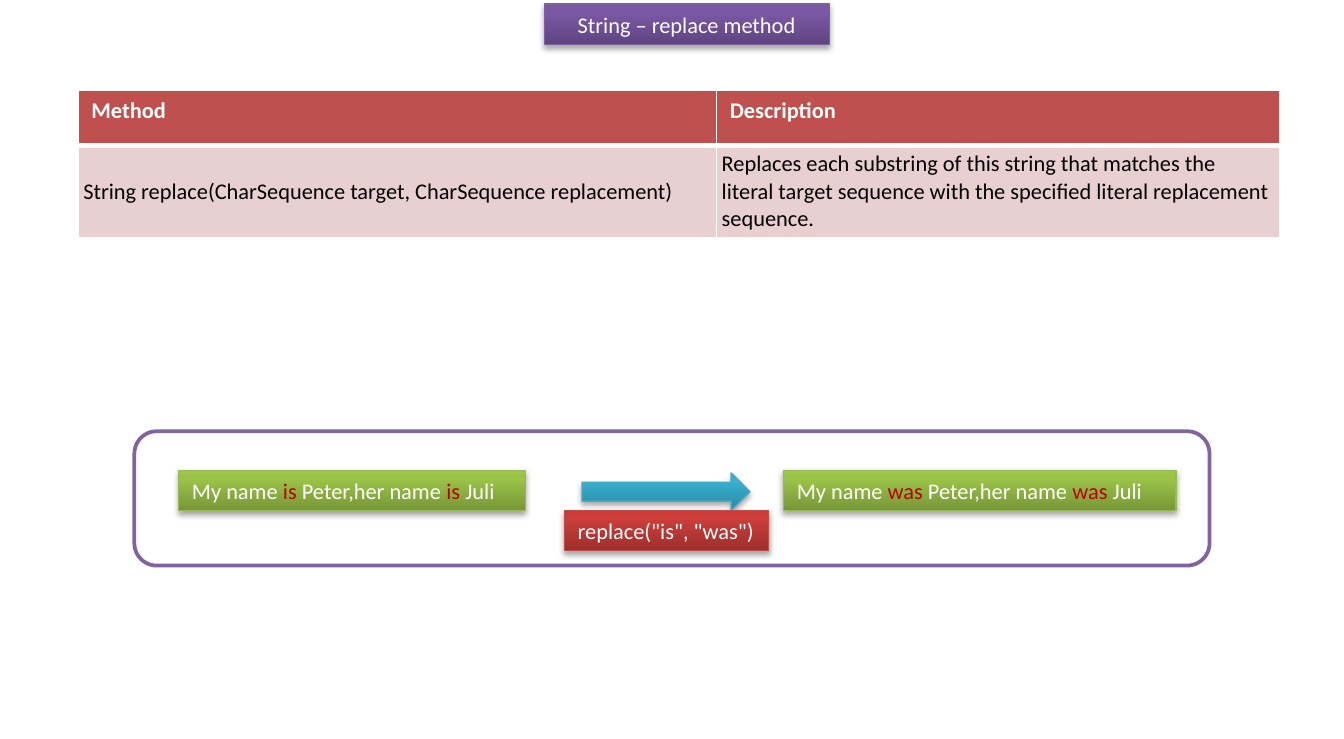
from copy import deepcopy

from lxml.etree import SubElement
from pptx import Presentation
from pptx.dml.color import RGBColor
from pptx.enum.shapes import MSO_SHAPE as SHAPE
from pptx.enum.text import MSO_ANCHOR as ANCHOR, MSO_AUTO_SIZE as AUTO, PP_ALIGN as ALIGN
from pptx.oxml.ns import qn
from pptx.util import Inches, Pt

COLORS = {
    "white": "FFFFFF", "black": "000000", "mark": "C00000",
    "frame": "8064A2", "header": "C0504D", "body": "E8D0D0",
}
# Each theme: line colour, then gradient colours from bottom to top
THEMES = {
    "purple": ("7D60A0", ("5F4480", "7B58A6", "7C57A8")),
    "green": ("98B955", ("779737", "9BC348", "9DC746")),
    "blue": ("46AAC5", ("2A88A2", "37B1D2", "34B4D6")),
    "red": ("BF4C48", ("9C2F2D", "CB3E3A", "CE3B37")),
}
STOPS = (0, 0.8, 1)
ROWS = [
    ("Method", "Description"),
    ("String replace(CharSequence target, CharSequence replacement)",
     "Replaces each substring of this string that matches the literal target "
     "sequence with the specified literal replacement sequence."),
]


def rgb(name):
    return RGBColor.from_string(COLORS[name])


def add_runs(p, runs, bold=False):
    for text, color in runs:
        r = p.add_run()
        r.text = text
        r.font.name, r.font.size, r.font.bold = "Calibri", Pt(12), bold
        r.font.color.rgb = rgb(color)


def style_shape(sp, theme):
    """Gradient fill, thin line and a soft shadow below."""
    line, shades = THEMES[theme]
    sp.fill.gradient()
    sp.fill.gradient_angle = 90
    stops = sp._element.spPr.find(".//" + qn("a:gsLst"))
    stops.append(deepcopy(stops[0]))
    for stop, position, shade in zip(sp.fill.gradient_stops, STOPS, shades):
        stop.position = position
        stop.color.rgb = RGBColor.from_string(shade)
    sp.line.color.rgb = RGBColor.from_string(line)
    sp.line.width = Pt(0.75)
    sp.shadow.inherit = False
    effects = sp._element.spPr.find(qn("a:effectLst"))
    shadow = SubElement(effects, qn("a:outerShdw"), blurRad="40000", dist="23000",
                        dir="5400000", rotWithShape="0")
    color = SubElement(shadow, qn("a:srgbClr"), val=COLORS["black"])
    SubElement(color, qn("a:alpha"), val="35000")


def fill_label(sp, theme, runs, align=ALIGN.LEFT, wrap=True, auto_size=AUTO.SHAPE_TO_FIT_TEXT):
    style_shape(sp, theme)
    tf = sp.text_frame
    tf.word_wrap, tf.auto_size = wrap, auto_size
    tf.vertical_anchor = ANCHOR.TOP
    p = tf.paragraphs[0]
    p.alignment = align
    add_runs(p, runs)


def place_title(s, x, y, w, h):
    sp = s.shapes.title
    sp.left, sp.top, sp.width, sp.height = x, y, w, h
    # A growing placeholder would keep the layout's height as its minimum
    fill_label(sp, "purple", [("String – replace method", "white")], ALIGN.CENTER,
               auto_size=AUTO.NONE)


def set_borders(cell, **widths):
    tc_pr = cell._tc.get_or_add_tcPr()
    for i, side in enumerate("LRTB"):
        ln = SubElement(tc_pr, qn("a:ln" + side), w=str(Pt(widths.get(side, 1))))
        fill = SubElement(ln, qn("a:solidFill"))
        SubElement(fill, qn("a:srgbClr"), val=COLORS["white"])
        tc_pr.insert(i, ln)


def add_method_table(s, x, y, w, h):
    table = s.shapes.add_table(2, 2, x, y, w, h).table
    table.horz_banding = False
    table.columns[0].width = Inches(4.75)
    table.columns[1].width = w - Inches(4.75)
    for i, texts in enumerate(ROWS):
        header = i == 0
        for j, text in enumerate(texts):
            cell = table.cell(i, j)
            cell.fill.solid()
            cell.fill.fore_color.rgb = rgb("header" if header else "body")
            set_borders(cell, **({"B": 3} if header else {"T": 3}))
            if not header:
                cell.vertical_anchor = ANCHOR.MIDDLE
                cell.margin_left = cell.margin_top = cell.margin_bottom = Inches(0.04)
                cell.margin_right = Inches(0.07)
            add_runs(cell.text_frame.paragraphs[0],
                     [(text, "white" if header else "black")], bold=header)


def add_example(s, x, y, w, h):
    def add(shape, dx, dy, width, height):
        return s.shapes.add_shape(shape, x + Inches(dx), y + Inches(dy),
                                  Inches(width), Inches(height))

    # Frame
    frame = s.shapes.add_shape(SHAPE.ROUNDED_RECTANGLE, x, y, w, h)
    frame.fill.solid()
    frame.fill.fore_color.rgb = rgb("white")
    frame.line.color.rgb = rgb("frame")
    frame.line.width = Pt(2)
    frame.shadow.inherit = False

    # Sentence before and after
    for dx, width, verb in ((0.33, 2.58, "is"), (4.83, 2.92, "was")):
        fill_label(add(SHAPE.RECTANGLE, dx, 0.29, width, 0.3), "green", [
            ("My name ", "white"), (verb, "mark"), (" Peter,her name ", "white"),
            (verb, "mark"), (" Juli", "white")])

    # Arrow and the call
    style_shape(add(SHAPE.RIGHT_ARROW, 3.33, 0.31, 1.25, 0.28), "blue")
    fill_label(add(SHAPE.RECTANGLE, 3.2, 0.59, 1.52, 0.3), "red",
               [('replace("is", "was")', "white")], wrap=False)


def main():
    prs = Presentation()
    prs.slide_width, prs.slide_height = Inches(10), Inches(5.5)
    s = prs.slides.add_slide(prs.slide_layouts[5])
    place_title(s, Inches(4.05), Inches(0.03), Inches(2.12), Inches(0.3))
    add_method_table(s, Inches(0.58), Inches(0.67), Inches(8.94), Inches(0.82))
    add_example(s, Inches(1), Inches(3.21), Inches(8), Inches(1))
    prs.save("out.pptx")


if __name__ == "__main__":
    main()
